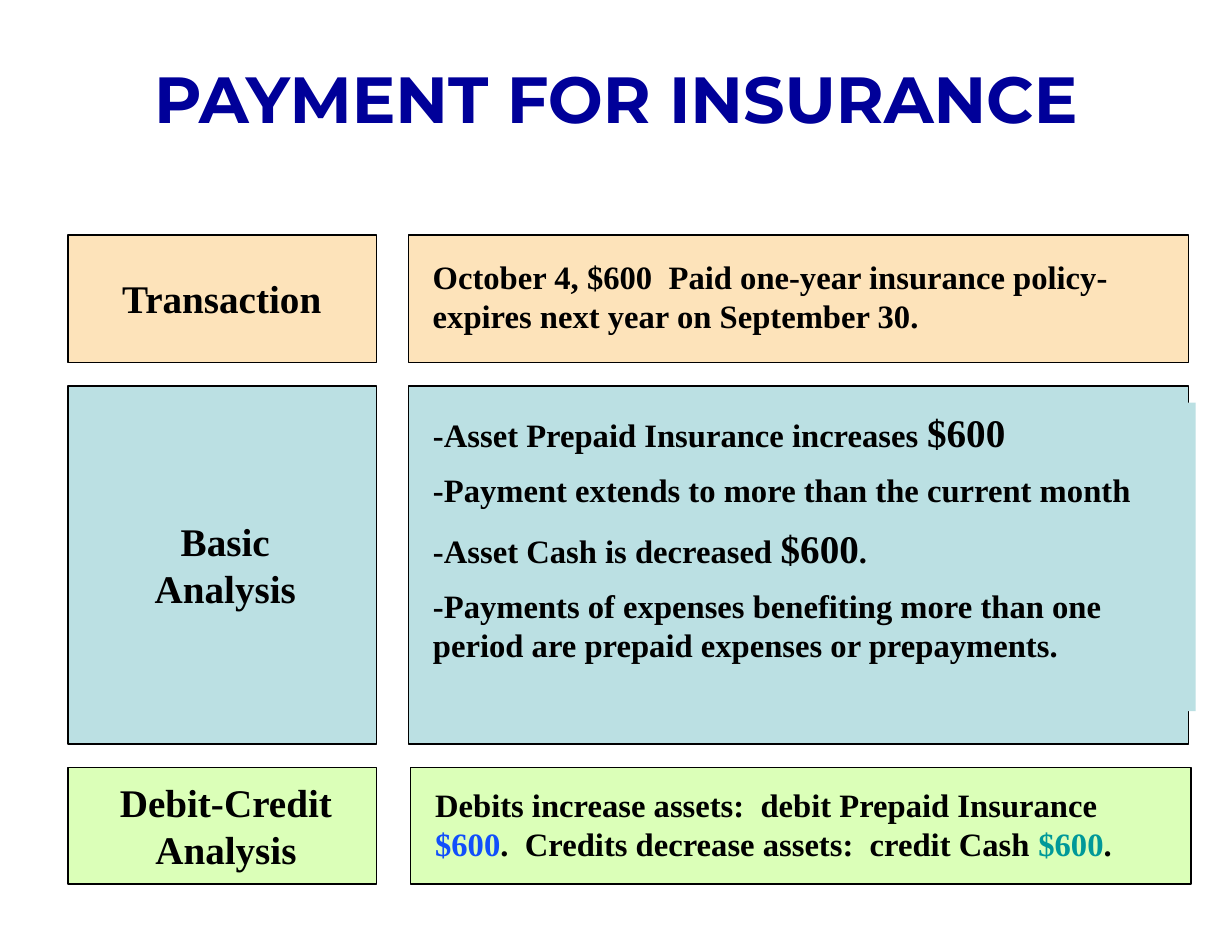
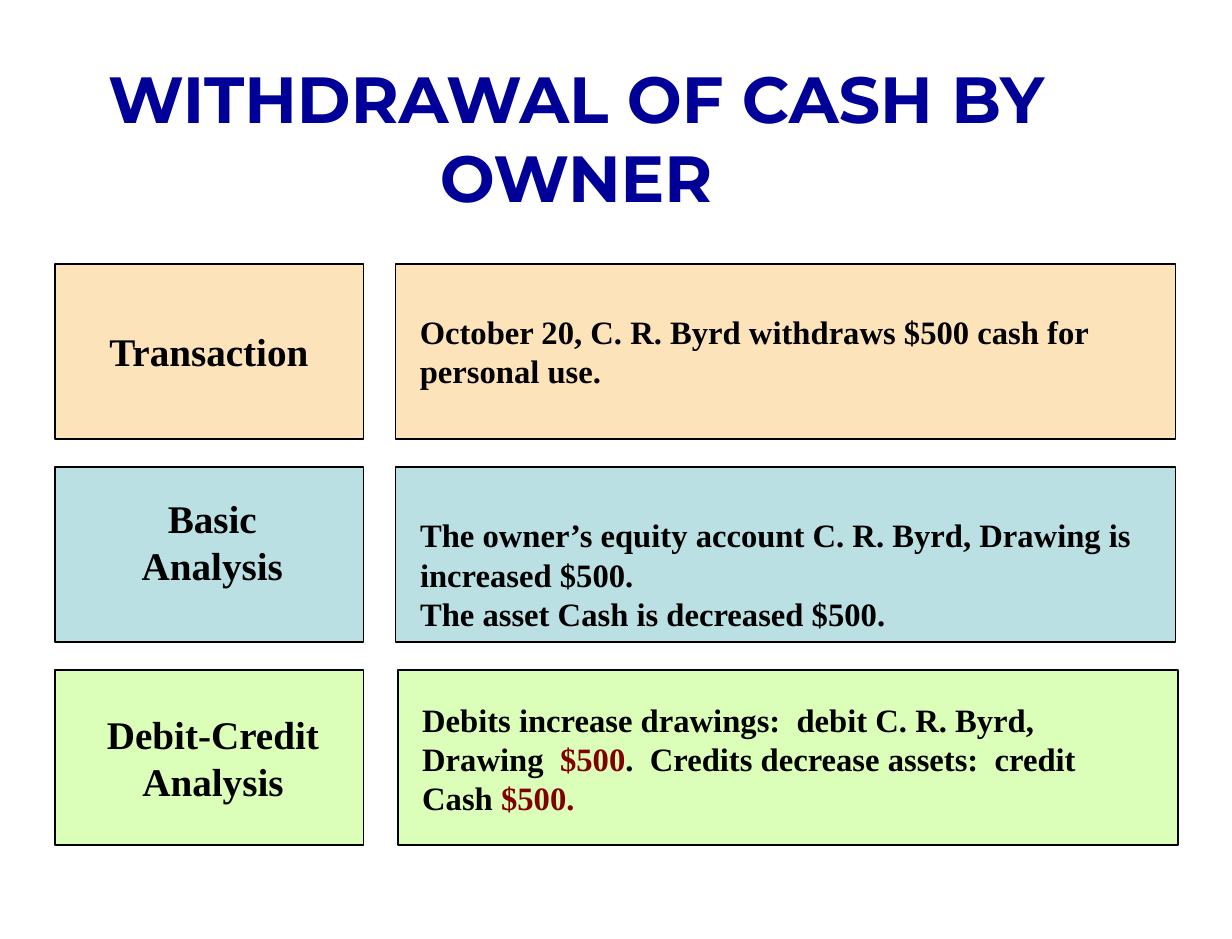
from dataclasses import dataclass
from typing import Any

from lxml.etree import SubElement
from pptx import Presentation
from pptx.dml.color import RGBColor
from pptx.enum.shapes import MSO_SHAPE as Preset
from pptx.enum.text import MSO_ANCHOR as Anchor, MSO_AUTO_SIZE as AutoSize, PP_ALIGN as Align
from pptx.oxml.ns import qn
from pptx.util import Emu, Pt

PX_EMU = 9144
TITLE_FONT, TEXT_FONT = "Montserrat", "Times New Roman"
NAVY, BLACK, BLUE, TEAL, MAROON = "000099", "000000", "114FFB", "009999", "800000"
PEACH, AQUA, LIME = "FDE3BA", "BBE0E3", "DBFFB8"
LABEL_FRAME_WIDTH, DETAIL_FRAME_WIDTH, DETAIL_OFFSET = 263, 665, 291
LABEL_LINE, LABEL_PADDING = 40, 10
FRAME_TEXT = {"margin_left": Emu(91440), "margin_right": Emu(91440),
              "margin_top": Emu(45720), "margin_bottom": Emu(45720),
              "vertical_anchor": Anchor.TOP, "auto_size": AutoSize.NONE}


@dataclass(frozen=True)
class Span:
    text: str
    size: int = 20
    color: str = BLACK
    font: str = TEXT_FONT


Line = list[Span]


@dataclass(frozen=True)
class Area:
    left: int
    top: int
    width: int
    height: int


@dataclass(frozen=True)
class Label:
    lines: tuple[str, ...]
    width: int
    shift: int = 0


@dataclass(frozen=True)
class Step:
    label: Label
    fill: str
    nudge: int = 0
    is_list: bool = False


@dataclass(frozen=True)
class Detail:
    lines: list[Line]
    height: int
    text_top: int
    text_width: int
    text_height: int
    line_gap: int = 0
    label_rise: int = 0


@dataclass(frozen=True)
class Sheet:
    title: str
    title_area: Area
    left: int
    top: int
    gap: int
    details: list[Detail]


STEPS = [
    Step(Label(("Transaction",), 192), PEACH),
    Step(Label(("Basic", "Analysis"), 140, 3), AQUA, is_list=True),
    Step(Label(("Debit-Credit", "Analysis"), 201, 3), LIME, nudge=2),
]

SHEETS = [
    Sheet("PAYMENT FOR INSURANCE", Area(0, 45, 1050, 76), 58, 200, 20, [
        Detail([[Span("October 4, $600  Paid one-year insurance policy-expires next year "
                      "on September 30.")]], 109, 14, 637, 76),
        Detail([
            [Span("-Asset Prepaid Insurance increases "), Span("$600", 24)],
            [Span("-Payment extends to more than the current month")],
            [Span("-Asset Cash is decreased "), Span("$600", 24), Span(".")],
            [Span("-Payments of expenses benefiting more than one period are prepaid "
                  "expenses or prepayments.")],
        ], 305, 14, 660, 263, line_gap=9),
        Detail([[Span("Debits increase assets:  debit Prepaid Insurance "),
                 Span("$600", color=BLUE),
                 Span(".  Credits decrease assets:  credit Cash "),
                 Span("$600", color=TEAL), Span(".")]], 99, 10, 602, 76),
    ]),
    Sheet("WITHDRAWAL OF CASH BY OWNER", Area(25, 45, 932, 143), 47, 225, 24, [
        Detail([[Span("October 20, C. R. Byrd withdraws $500 cash for personal use.")]],
               149, 36, 596, 76),
        Detail([
            [Span("The owner’s equity account C. R. Byrd, Drawing is increased $500.")],
            [Span("The asset Cash is decreased $500.")],
        ], 149, 36, 633, 110, label_rise=11),
        Detail([[Span("Debits increase drawings:  debit C. R. Byrd, Drawing  "),
                 Span("$500", color=MAROON),
                 Span(".  Credits decrease assets:  credit Cash "),
                 Span("$500.", color=MAROON)]], 149, 20, 587, 110),
    ]),
]


def px(length: int) -> Emu:
    return Emu(length * PX_EMU)


def rgb(value: str) -> RGBColor:
    return RGBColor.from_string(value)


def assign(target: Any, formats: dict[str, Any]) -> None:
    for name, value in formats.items():
        setattr(target, name, value)


def bounds(area: Area) -> tuple[Emu, Emu, Emu, Emu]:
    return px(area.left), px(area.top), px(area.width), px(area.height)


def place(shape: Any, area: Area) -> None:
    assign(shape, dict(zip(("left", "top", "width", "height"), bounds(area))))


def paint(shape: Any, color: str) -> None:
    shape.fill.solid()
    shape.fill.fore_color.rgb = rgb(color)


def clear_bullet(para: Any) -> None:
    properties = para._p.get_or_add_pPr()
    properties.set("marL", "0")
    properties.set("indent", "0")
    SubElement(properties, qn("a:buNone"))


def write(box: Any, lines: list[Line], align: Any = Align.LEFT, gap: int = 0,
          wrap: bool = True, is_list: bool = False) -> None:
    frame = box.text_frame
    assign(frame, FRAME_TEXT | {"word_wrap": wrap})
    for index, line in enumerate(lines):
        para = frame.add_paragraph() if index else frame.paragraphs[0]
        if is_list:
            clear_bullet(para)
        assign(para, {"alignment": align, "space_before": Pt(gap if index else 0)})
        for span in line:
            run = para.add_run()
            run.text = span.text
            assign(run.font, {"name": span.font, "size": Pt(span.size), "bold": True})
            run.font.color.rgb = rgb(span.color)


def add_frame(page: Any, area: Area, color: str) -> Any:
    frame = page.shapes.add_shape(Preset.RECTANGLE, *bounds(area))
    frame.shadow.inherit = False
    paint(frame, color)
    frame.line.color.rgb = rgb(BLACK)
    frame.line.width = Pt(1)
    return frame


def add_label(page: Any, label: Label, area: Area, rise: int) -> None:
    height = LABEL_PADDING + LABEL_LINE * len(label.lines)
    left = area.left + (area.width - label.width) // 2 + label.shift
    top = area.top + (area.height - height) // 2 - rise
    box = page.shapes.add_textbox(*bounds(Area(left, top, label.width, height)))
    write(box, [[Span(text, 24)] for text in label.lines], Align.CENTER, wrap=False)


def add_step(page: Any, step: Step, detail: Detail, left: int, top: int) -> None:
    label_area = Area(left, top, LABEL_FRAME_WIDTH, detail.height)
    add_frame(page, label_area, step.fill)
    add_label(page, step.label, label_area, detail.label_rise)

    detail_left = left + DETAIL_OFFSET - 1 + step.nudge
    frame = add_frame(page, Area(detail_left, top, DETAIL_FRAME_WIDTH, detail.height), step.fill)
    text_area = Area(detail_left + 11, top + detail.text_top,
                     detail.text_width, detail.text_height)
    if step.is_list:
        box = page.placeholders[1]
        place(box, text_area)
        paint(box, step.fill)
        frame.element.addnext(box.element)
    else:
        box = page.shapes.add_textbox(*bounds(text_area))
    write(box, detail.lines, gap=detail.line_gap, is_list=step.is_list)


def add_sheet(deck: Any, sheet: Sheet) -> None:
    page = deck.slides.add_slide(deck.slide_layouts[1])
    title = page.shapes.title
    place(title, sheet.title_area)
    write(title, [[Span(sheet.title, 40, NAVY, TITLE_FONT)]], Align.CENTER)
    top = sheet.top
    for step, detail in zip(STEPS, sheet.details):
        add_step(page, step, detail, sheet.left, top)
        top += detail.height + sheet.gap


def main() -> None:
    deck = Presentation()
    assign(deck, {"slide_width": px(1050), "slide_height": px(800)})
    for sheet in SHEETS:
        add_sheet(deck, sheet)
    deck.save("out.pptx")


if __name__ == "__main__":
    main()
